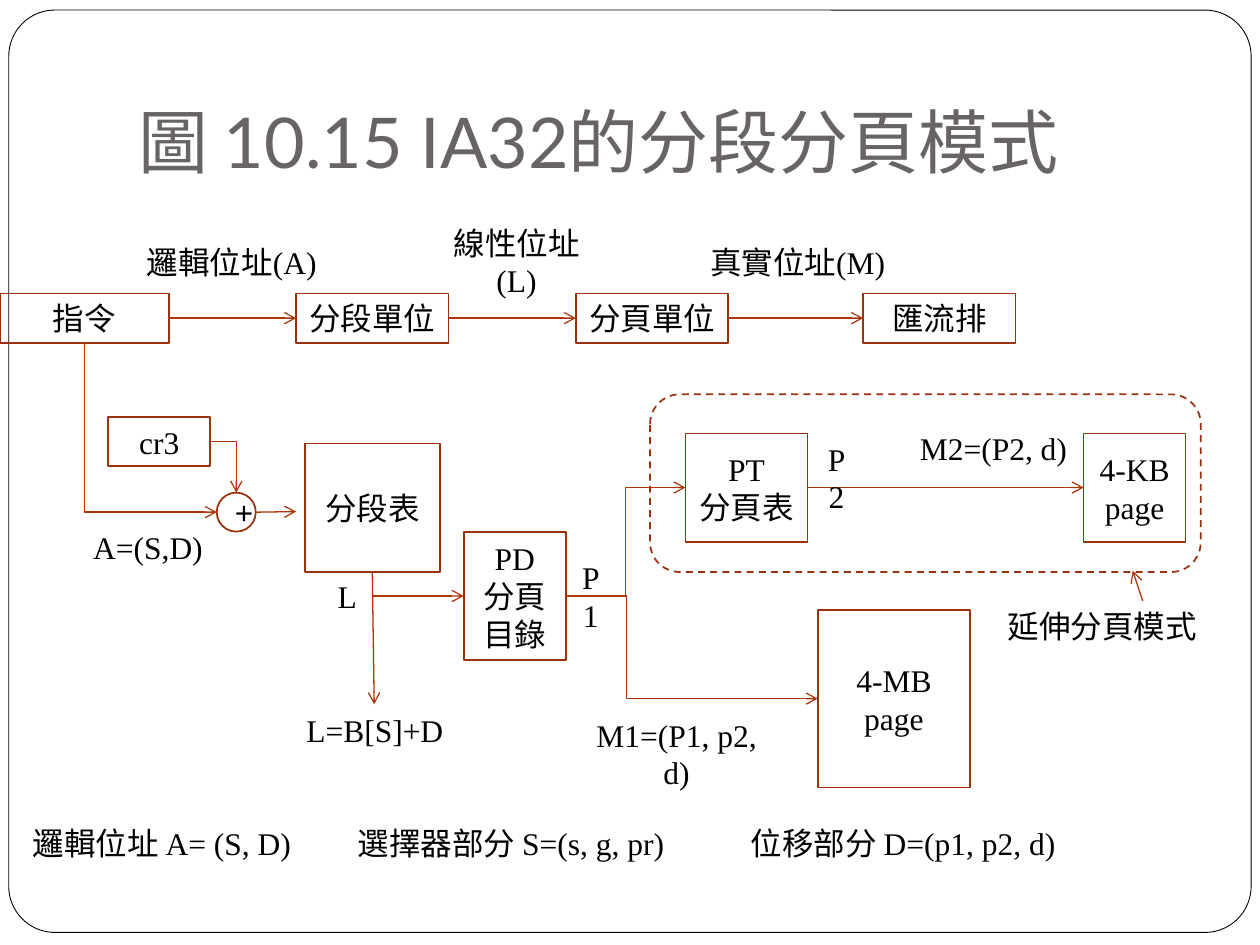
from dataclasses import dataclass

from lxml import etree
from pptx import Presentation
from pptx.dml.color import RGBColor
from pptx.enum.dml import MSO_LINE
from pptx.enum.shapes import MSO_CONNECTOR as LINK, MSO_SHAPE as SHAPE
from pptx.enum.text import MSO_ANCHOR as ANCHOR, PP_ALIGN as ALIGN
from pptx.oxml.ns import qn
from pptx.util import Inches, Pt

TOP, LEFT, BOTTOM, RIGHT = range(4)


@dataclass(frozen=True)
class Theme:
    ink: str = "000000"
    heading: str = "696464"
    paper: str = "FFFFFF"
    outline: str = "9B320E"
    arrow: str = "AF3408"
    body_font: str = "Times New Roman"
    title_font: str = "Lato"
    plain_font: str = "Arial"
    body_size: int = 18
    title_size: int = 40
    frame_width: float = 0.5
    arrow_width: float = 0.75
    box_width: float = 1


class Diagram:
    def __init__(self, slide, theme):
        self.slide, self.theme = slide, theme

    def add_lines(self, frame, lines, align, font=None, size=None, color=None):
        t = self.theme
        for number, line in enumerate(lines):
            paragraph = frame.add_paragraph() if number else frame.paragraphs[0]
            paragraph.alignment = align
            run = paragraph.add_run()
            run.text = line
            run.font.name = font or t.body_font
            run.font.size = Pt(size or t.body_size)
            run.font.color.rgb = RGBColor.from_string(color or t.ink)

    def box(self, x, y, w, h, *lines, kind=SHAPE.RECTANGLE, font=None,
            color=None, width=None, fill=None, dash=None, corner=None):
        t = self.theme
        shape = self.slide.shapes.add_shape(kind, *map(Inches, (x, y, w, h)))
        shape.shadow.inherit = False
        if fill:
            shape.fill.solid()
            shape.fill.fore_color.rgb = RGBColor.from_string(fill)
        else:
            shape.fill.background()
        shape.line.color.rgb = RGBColor.from_string(color or t.outline)
        shape.line.width = Pt(width or t.box_width)
        if dash:
            shape.line.dash_style = dash
        if corner:
            shape.adjustments[0] = corner
        shape.text_frame.vertical_anchor = ANCHOR.MIDDLE
        self.add_lines(shape.text_frame, lines, ALIGN.CENTER, font)
        return shape

    def label(self, x, y, w, h, text, align=ALIGN.CENTER, wrap=False,
              anchor=ANCHOR.TOP, **style):
        frame = self.slide.shapes.add_textbox(*map(Inches, (x, y, w, h))).text_frame
        frame.word_wrap = wrap
        frame.vertical_anchor = anchor
        self.add_lines(frame, [text], align, **style)
        return frame

    @staticmethod
    def locate(end):
        """Turn (x, y) inches or (shape, side) into a point."""
        place, side = end
        if isinstance(place, (int, float)):
            return Inches(place), Inches(side)
        x = {LEFT: 0, RIGHT: place.width}.get(side, place.width // 2)
        y = {TOP: 0, BOTTOM: place.height}.get(side, place.height // 2)
        return place.left + x, place.top + y

    @staticmethod
    def attach(connect, end):
        place, side = end
        if isinstance(place, (int, float)):
            return
        # An ellipse has eight sites, so its sides are every second one
        site = side * 2 if place.auto_shape_type == SHAPE.OVAL else side
        if site <= RIGHT:
            connect(place, site)

    def arrow(self, start, end, bend=None, turn=None):
        """bend: middle position of a two-corner elbow;
        turn: "down" or "right", the first move of a one-corner elbow."""
        elbow = bend or turn
        (x1, y1), (x2, y2) = self.locate(start), self.locate(end)
        link = self.slide.shapes.add_connector(
            LINK.ELBOW if elbow else LINK.STRAIGHT, x1, y1, x2, y2)
        self.attach(link.begin_connect, start)
        self.attach(link.end_connect, end)
        link.begin_x, link.begin_y = x1, y1
        link.end_x, link.end_y = x2, y2
        link.line.color.rgb = RGBColor.from_string(self.theme.arrow)
        link.line.width = Pt(self.theme.arrow_width)

        # Arrowhead, no shadow, elbow route
        properties = link.element.spPr
        etree.SubElement(properties.find(qn("a:ln")), qn("a:tailEnd"), type="arrow")
        etree.SubElement(properties, qn("a:effectLst"))
        geometry = properties.find(qn("a:prstGeom"))
        if bend:
            guides = geometry.find(qn("a:avLst"))
            etree.SubElement(guides, qn("a:gd"), name="adj1",
                             fmla=f"val {round(bend * 100000)}")
        if turn:
            geometry.set("prst", "bentConnector2")
        if turn == "down":
            w, h = x2 - x1, y2 - y1
            link.left, link.top = (x1 + x2 - h) // 2, (y1 + y2 - w) // 2
            link.width, link.height = h, w
            transform = properties.find(qn("a:xfrm"))
            transform.set("rot", "16200000")
            transform.set("flipH", "1")


def main():
    deck = Presentation()
    deck.slide_width, deck.slide_height = Inches(10), Inches(7.5)
    theme = Theme()
    d = Diagram(deck.slides.add_slide(deck.slide_layouts[6]), theme)

    # Page frame and title
    d.box(0.07, 0.08, 9.86, 7.32, kind=SHAPE.ROUNDED_RECTANGLE, corner=0.05,
          color=theme.ink, width=theme.frame_width, fill=theme.paper)
    title = d.label(1, 0.3, 8.5, 1.25, "圖 10.15 IA32的分段分頁模式", ALIGN.LEFT,
                    wrap=True, anchor=ANCHOR.BOTTOM, font=theme.title_font,
                    size=theme.title_size, color=theme.heading)
    title.margin_bottom = Inches(0.1)

    # Address translation chain
    chain = [d.box(x, 2.33, w, 0.39, name) for x, w, name in (
        (0, 1.34, "指令"), (2.35, 1.21, "分段單位"),
        (4.57, 1.21, "分頁單位"), (6.85, 1.21, "匯流排"))]
    for unit, following in zip(chain, chain[1:]):
        d.arrow((unit, RIGHT), (following, LEFT))
    for x, w, address in ((1.02, 1.64, "邏輯位址(A)"), (3.36, 1.48, "線性位址(L)"),
                          (5.47, 1.72, "真實位址(M)")):
        d.label(x, 1.88, w, 0.39, address, wrap=True, anchor=ANCHOR.MIDDLE)

    # Tables, pages and adder
    cr3 = d.box(0.86, 3.31, 0.81, 0.39, "cr3")
    adder = d.box(1.72, 3.91, 0.31, 0.31, "+", kind=SHAPE.OVAL,
                  font=theme.plain_font)
    segment_table = d.box(2.42, 3.52, 1.07, 1.02, "分段表")
    page_directory = d.box(3.68, 4.22, 0.81, 1.02, "PD", "分頁", "目錄")
    page_table = d.box(5.44, 3.44, 0.97, 0.86, "PT", "分頁表")
    small_page = d.box(8.6, 3.44, 0.81, 0.86, "4-KB", "page")
    large_page = d.box(6.49, 4.84, 1.21, 1.41, "4-MB", "page")

    # Extended paging area
    d.box(5.16, 3.13, 4.37, 1.41, kind=SHAPE.ROUNDED_RECTANGLE, dash=MSO_LINE.DASH)
    d.label(7.9, 4.77, 1.7, 0.4, "延伸分頁模式", ALIGN.LEFT, font=theme.plain_font)
    d.arrow((9.07, 4.77), (8.99, 4.53))

    # Lookup routes
    d.arrow((chain[0], BOTTOM), (adder, LEFT), turn="down")
    d.arrow((cr3, RIGHT), (adder, TOP), turn="right")
    d.arrow((adder, RIGHT), (2.35, 4.06))
    d.arrow((segment_table, BOTTOM), (page_directory, LEFT), turn="down")
    d.arrow((segment_table, BOTTOM), (2.97, 5.59))
    d.arrow((page_directory, RIGHT), (page_table, LEFT), bend=0.5)
    d.arrow((page_directory, RIGHT), (large_page, LEFT), bend=0.24)
    d.arrow((page_table, RIGHT), (small_page, LEFT))

    # Route labels
    for x, y, w, text in (
            (0.64, 4.14, 1.07, "A=(S,D)"), (2.58, 4.53, 0.35, "L"),
            (2.33, 5.59, 1.29, "L=B[S]+D"), (4.46, 4.38, 0.46, "P1"),
            (4.5, 5.63, 1.74, "M1=(P1, p2, d)"), (6.41, 3.44, 0.46, "P2"),
            (7.2, 3.36, 1.37, "M2=(P2, d)")):
        d.label(x, y, w, 0.4, text)

    # Definitions
    for x, w, text in ((0.16, 2.42, "邏輯位址 A= (S, D)"),
                       (2.74, 2.86, "選擇器部分 S=(s, g, pr)"),
                       (5.86, 2.97, "位移部分 D=(p1, p2, d)")):
        d.label(x, 6.49, w, 0.4, text, ALIGN.LEFT, wrap=True)

    deck.save("out.pptx")


if __name__ == "__main__":
    main()
